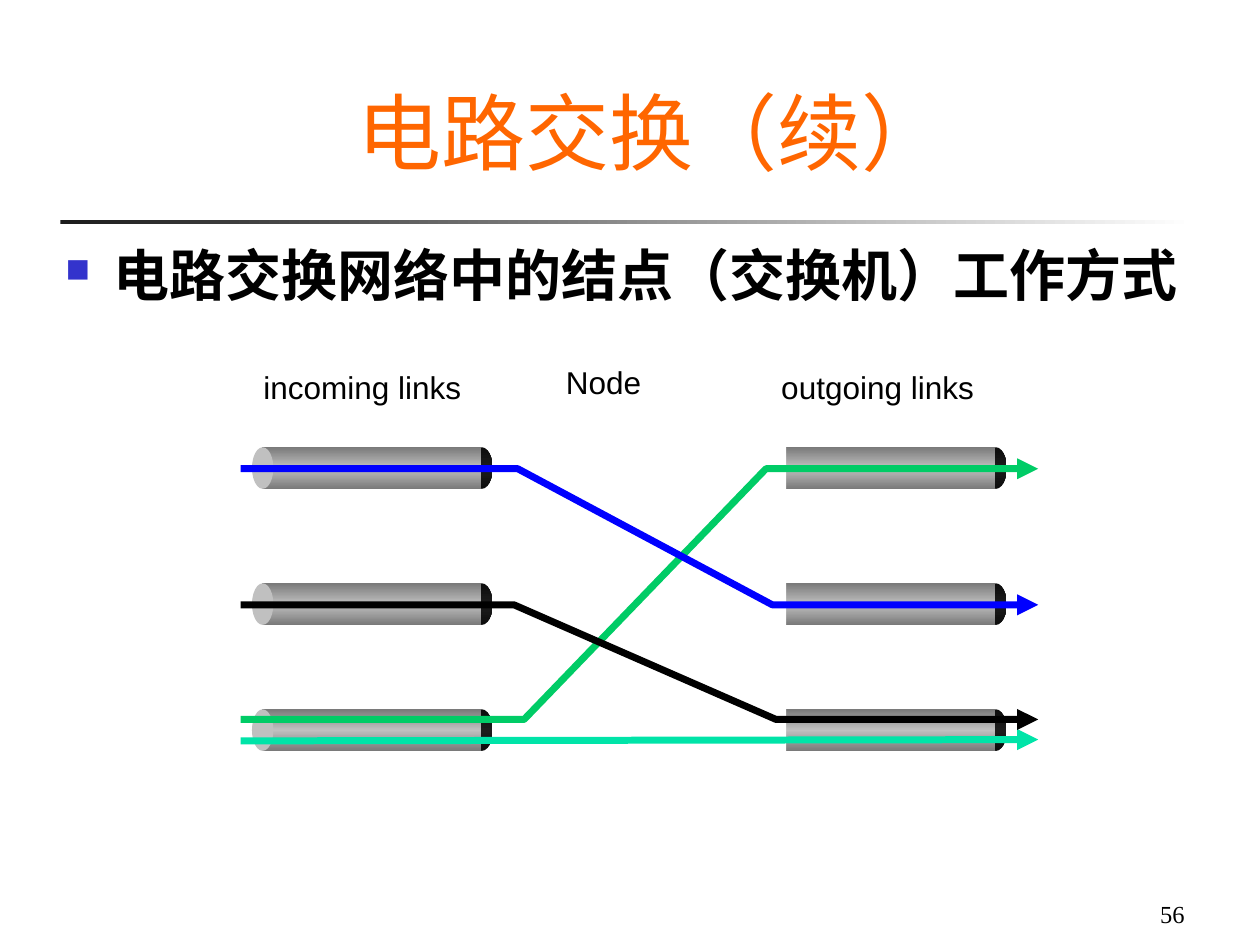
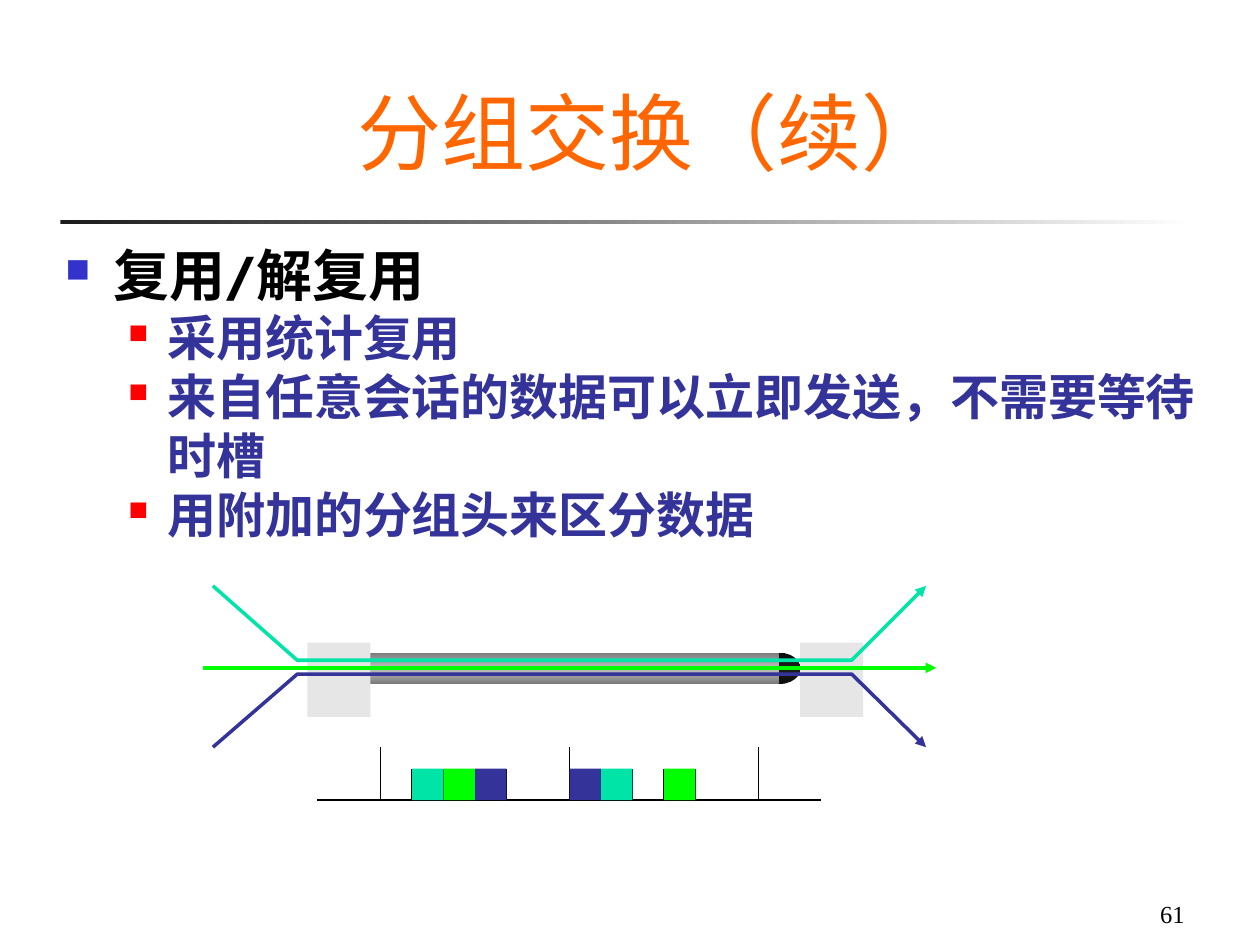
"""Builds two slides on circuit switching and packet switching."""
from copy import deepcopy

from lxml.etree import SubElement
from pptx import Presentation
from pptx.dml.color import RGBColor
from pptx.enum.shapes import MSO_CONNECTOR, MSO_SHAPE
from pptx.enum.text import MSO_ANCHOR, PP_ALIGN
from pptx.oxml.ns import qn
from pptx.util import Pt

PX = 9144

WHITE = RGBColor(0xFF, 0xFF, 0xFF)
BLACK = RGBColor(0, 0, 0)
ORANGE = RGBColor(0xFF, 0x66, 0x00)
RED = RGBColor(0xFF, 0, 0)
BLUE = RGBColor(0, 0, 0xFF)
BULLET_BLUE = RGBColor(0x33, 0x33, 0xCC)
INDIGO = RGBColor(0x33, 0x33, 0x99)
GREEN = RGBColor(0, 0xCC, 0x66)
LIME = RGBColor(0, 0xFF, 0)
TEAL = RGBColor(0, 0xE4, 0xA8)
PALE = RGBColor(0xE6, 0xE6, 0xE6)
SILVER = RGBColor(0xC0, 0xC0, 0xC0)
STEEL = RGBColor(0x7A, 0x7A, 0x7A)
COAL = RGBColor(0x1C, 0x1C, 0x1C)
PITCH = RGBColor(0x0D, 0x0D, 0x0D)

LEVELS = (
    {"margin": 38, "hang": 38, "bullet": BULLET_BLUE, "percent": 60, "size": 32, "color": BLACK},
    {"margin": 81, "hang": 31, "bullet": RED, "percent": 55, "size": 28, "color": INDIGO},
)


class Deck:
    """Holds the shared style and the slide being drawn."""

    def __init__(self):
        self.presentation = Presentation()
        self.presentation.slide_width = 1000 * PX
        self.presentation.slide_height = 750 * PX
        self.slide = None

    def new_slide(self, title, number):
        self.slide = self.presentation.slides.add_slide(self.presentation.slide_layouts[6])
        self.box(48, 175, 900, 3, (COAL, WHITE))
        self.text(92, 50, 850, 99, title, 48, "Cabin", ORANGE, anchor=MSO_ANCHOR.BOTTOM)
        self.text(742, 692, 208, 50, number, 14, "Times New Roman",
                  align=PP_ALIGN.RIGHT, anchor=MSO_ANCHOR.BOTTOM)

    def frame(self, left, top, width, height):
        return self.slide.shapes.add_textbox(left * PX, top * PX, width * PX, height * PX).text_frame

    def style(self, paragraph, size, font, color, bold=False):
        for run in paragraph.runs:
            run.font.size = Pt(size)
            run.font.name = font
            run.font.bold = bold
            run.font.color.rgb = color
            SubElement(run.font._element, qn("a:ea")).set("typeface", font)

    def text(self, left, top, width, height, words, size, font, color=BLACK,
             align=PP_ALIGN.CENTER, anchor=MSO_ANCHOR.TOP):
        frame = self.frame(left, top, width, height)
        frame.word_wrap = True
        frame.vertical_anchor = anchor
        frame.text = words
        frame.paragraphs[0].alignment = align
        self.style(frame.paragraphs[0], size, font, color)
        return frame

    def label(self, left, top, width, words):
        frame = self.text(left, top, width, 30, words, 18, "Arial")
        frame.word_wrap = False
        frame.margin_left = frame.margin_right = frame.margin_top = frame.margin_bottom = 0

    def bullets(self, *items):
        frame = self.frame(42, 186, 925, 477)
        frame.word_wrap = True
        frame.text = "\n".join(words for _, words in items)
        for paragraph, (depth, _) in zip(frame.paragraphs, items):
            level = LEVELS[depth]
            paragraph.level = depth
            properties = paragraph._p.get_or_add_pPr()
            properties.set("marL", str(level["margin"] * PX))
            properties.set("indent", str(-level["hang"] * PX))
            bullet_color = SubElement(properties, qn("a:buClr"))
            SubElement(bullet_color, qn("a:srgbClr")).set("val", str(level["bullet"]))
            SubElement(properties, qn("a:buSzPct")).set("val", str(level["percent"] * 1000))
            SubElement(properties, qn("a:buChar")).set("char", "■")
            self.style(paragraph, level["size"], "Cabin", level["color"], bold=True)

    def box(self, left, top, width, height, colors, kind=MSO_SHAPE.RECTANGLE, angle=0):
        shape = self.slide.shapes.add_shape(kind, left * PX, top * PX, width * PX, height * PX)
        shape.shadow.inherit = False
        shape.line.fill.background()
        if len(colors) == 1:
            shape.fill.solid()
            shape.fill.fore_color.rgb = colors[0]
            return shape
        shape.fill.gradient()
        shape.fill.gradient_angle = angle
        stop_list = next(shape._element.iter(qn("a:gsLst")))
        for _ in colors[2:]:
            stop_list.append(deepcopy(stop_list[0]))
        for index, (stop, color) in enumerate(zip(shape.fill.gradient_stops, colors)):
            stop.position = index / (len(colors) - 1)
            stop.color.rgb = color
        return shape

    def pipe(self, left, top, width, height, cap):
        far_end = self.box(left + width - cap, top, cap, height, (PITCH, COAL, PITCH), MSO_SHAPE.OVAL, 90)
        body = self.box(left + cap // 2, top, width - cap, height, (STEEL, SILVER, STEEL), angle=90)
        near_end = self.box(left, top, cap, height, (SILVER,), MSO_SHAPE.OVAL)
        self.slide.shapes.add_group_shape([far_end, body, near_end])

    def stroke(self, shape, color, weight, arrow):
        shape.line.color.rgb = color
        shape.line.width = Pt(weight)
        if arrow:
            SubElement(next(shape._element.iter(qn("a:ln"))), qn("a:tailEnd")).set("type", "triangle")

    def line(self, start, end, color, weight, arrow=False):
        connector = self.slide.shapes.add_connector(
            MSO_CONNECTOR.STRAIGHT, *(value * PX for value in (*start, *end)))
        self.stroke(connector, color, weight, arrow)
        SubElement(connector._element.spPr, qn("a:effectLst"))

    def route(self, points, color, weight):
        builder = self.slide.shapes.build_freeform(*points[0], scale=PX)
        builder.add_line_segments(points[1:], close=False)
        shape = builder.convert_to_shape()
        shape.shadow.inherit = False
        shape.fill.background()
        self.stroke(shape, color, weight, True)


def circuit_switching(deck):
    deck.new_slide("电路交换（续）", "56")
    deck.bullets((0, "电路交换网络中的结点（交换机）工作方式"))
    link_tops = (355, 463, 563)
    for top in reversed(link_tops):
        deck.pipe(607, top, 192, 33, 17)
    deck.box(391, 347, 233, 291, (WHITE,))
    for top in link_tops:
        deck.pipe(200, top, 191, 33, 17)
    deck.label(209, 292, 157, "incoming links")
    deck.label(620, 292, 153, "outgoing links")
    deck.label(449, 288, 60, "Node")
    deck.line((191, 588), (824, 587), TEAL, 4, arrow=True)
    for y_in, bend_in, bend_out, y_out, color in (
            (571, 416, 608, 372, GREEN),
            (372, 411, 613, 480, BLUE),
            (480, 408, 616, 571, BLACK)):
        deck.route([(191, y_in), (bend_in, y_in), (bend_out, y_out), (824, y_out)], color, 4)


def packet_switching(deck):
    deck.new_slide("分组交换（续）", "61")
    deck.bullets((0, "复用/解复用"),
                 (1, "采用统计复用"),
                 (1, "来自任意会话的数据可以立即发送，不需要等待时槽"),
                 (1, "用附加的分组头来区分数据"))
    axis, origin, slot_width, frame_slots = 635, 302, 25, 6
    deck.line((252, axis), (652, axis), BLACK, 1)
    for slot in range(2 * frame_slots + 1):
        if slot % frame_slots == frame_slots - 1:
            continue
        x = origin + slot * slot_width
        tick = 25 if slot % frame_slots else 42
        deck.line((x, axis), (x, axis - tick), BLACK, 1)
    for slot, color in ((1, TEAL), (7, TEAL), (3, INDIGO), (6, INDIGO), (2, LIME), (9, LIME)):
        deck.box(origin + slot * slot_width, axis - 25, slot_width, 25, (color,))
    deck.box(635, 510, 50, 59, (PALE,))
    deck.pipe(260, 518, 375, 25, 33)
    deck.box(244, 510, 50, 59, (PALE,))
    deck.line((161, 530), (743, 530), LIME, 2, arrow=True)
    for outer, inner, color in ((465, 524, TEAL), (593, 535, INDIGO)):
        deck.route([(169, outer), (236, inner), (676, inner), (735, outer)], color, 2)


def main():
    deck = Deck()
    circuit_switching(deck)
    packet_switching(deck)
    deck.presentation.save("out.pptx")


if __name__ == "__main__":
    main()
